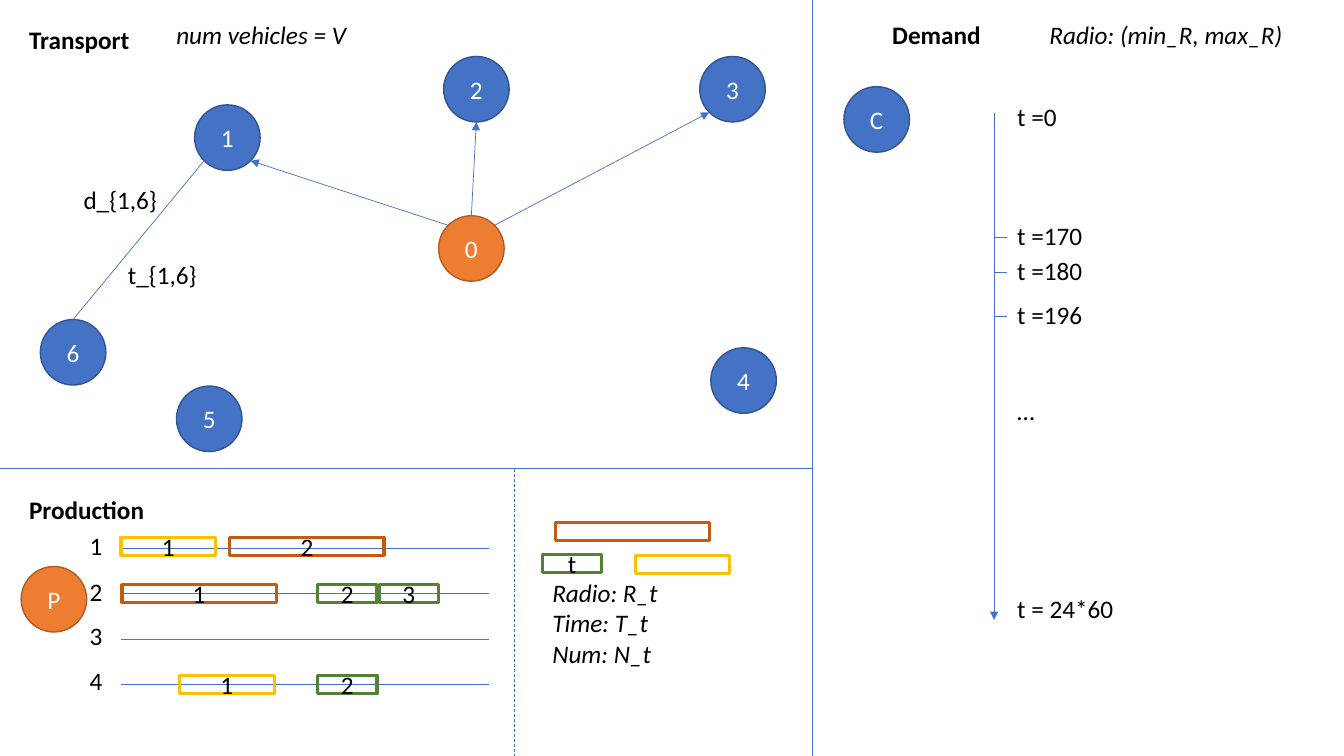
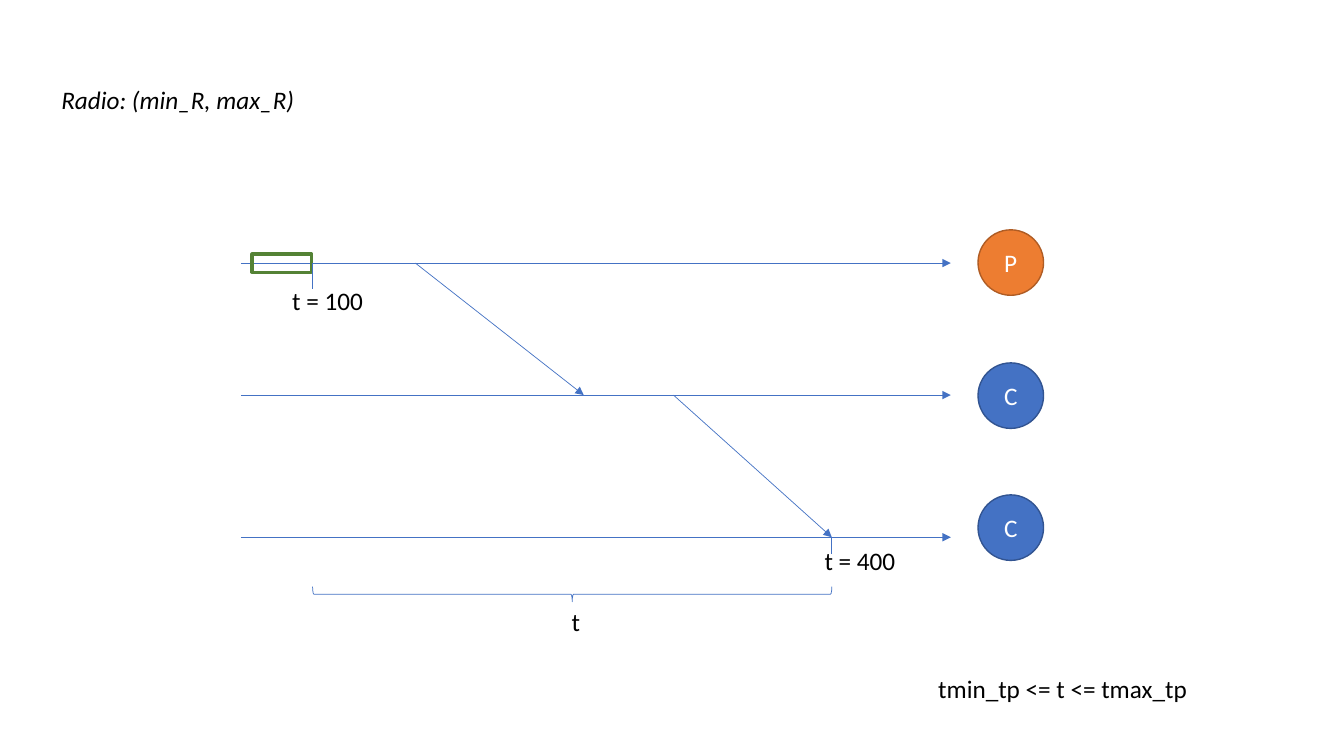
from math import hypot

from lxml import etree
from pptx import Presentation
from pptx.dml.color import RGBColor
from pptx.enum.dml import MSO_LINE_DASH_STYLE
from pptx.enum.shapes import MSO_CONNECTOR, MSO_SHAPE
from pptx.enum.text import MSO_ANCHOR, MSO_AUTO_SIZE, PP_ALIGN
from pptx.oxml.ns import qn
from pptx.util import Inches, Pt

STRAIGHT = MSO_CONNECTOR.STRAIGHT
OVAL, RECTANGLE, BRACE = MSO_SHAPE.OVAL, MSO_SHAPE.RECTANGLE, MSO_SHAPE.RIGHT_BRACE
LEFT, CENTER = PP_ALIGN.LEFT, PP_ALIGN.CENTER
MIDDLE = MSO_ANCHOR.MIDDLE
FIT_TEXT = MSO_AUTO_SIZE.SHAPE_TO_FIT_TEXT
DASH = MSO_LINE_DASH_STYLE.DASH


class Theme:
    font = "Calibri"
    size = 18
    black, white = "000000", "FFFFFF"
    blue, blue_edge = "4472C4", "325491"
    orange, orange_edge = "ED7D31", "AF5C24"
    yellow, rust, green = "FFC000", "C55A11", "548235"
    thin, edge, thick = 0.5, 1, 2.25
    node = 0.65
    label_height = 0.4
    task_height = 0.18
    # Width of a task, by its colour
    task_widths = {yellow: 0.94, rust: 1.53, green: 0.59}


class Painter:
    """Holds the theme and the current page, and draws each kind of element."""

    def __init__(self, deck, theme):
        self.deck, self.theme, self.page = deck, theme, None

    def new_page(self):
        self.page = self.deck.slides.add_slide(self.deck.slide_layouts[6])

    def fill_text(self, frame, text, color, align=LEFT, **formats):
        values = {"name": self.theme.font, "size": Pt(self.theme.size), **formats}
        for index, line in enumerate(text.split("\n")):
            para = frame.add_paragraph() if index else frame.paragraphs[0]
            para.alignment = align
            span = para.add_run()
            span.text = line
            for name, value in values.items():
                setattr(span.font, name, value)
            span.font.color.rgb = RGBColor.from_string(color)

    def outline(self, line, color, width):
        line.color.rgb = RGBColor.from_string(color)
        line.width = Pt(width)

    def shape(self, kind, left, top, width, height, edge, weight, fill=None):
        box = self.page.shapes.add_shape(
            kind, Inches(left), Inches(top), Inches(width), Inches(height))
        box.shadow.inherit = False
        if fill:
            box.fill.solid()
            box.fill.fore_color.rgb = RGBColor.from_string(fill)
        else:
            box.fill.background()
        self.outline(box.line, edge, weight)
        box.text_frame.vertical_anchor = MIDDLE
        return box

    def node(self, text, left, top, plant=False):
        theme = self.theme
        fill, edge = ((theme.orange, theme.orange_edge) if plant
                      else (theme.blue, theme.blue_edge))
        box = self.shape(OVAL, left, top, theme.node, theme.node, edge, theme.edge, fill)
        self.fill_text(box.text_frame, text, theme.white, CENTER)

    def task(self, left, top, color, text=""):
        theme = self.theme
        box = self.shape(RECTANGLE, left, top, theme.task_widths[color],
                         theme.task_height, color, theme.thick)
        if text:
            self.fill_text(box.text_frame, text, theme.black, CENTER)

    def brace_below(self, left, top, width, height):
        """A brace that opens upwards: a right brace turned by a quarter."""
        shift = (width - height) / 2
        box = self.shape(BRACE, left + shift, top - shift, height, width,
                         self.theme.blue, self.theme.thin)
        box.rotation = 90

    def label(self, text, left, top, width, wrap=True, align=LEFT, **formats):
        box = self.page.shapes.add_textbox(
            Inches(left), Inches(top), Inches(width),
            Inches(self.theme.label_height))
        box.text_frame.word_wrap = wrap
        box.text_frame.auto_size = FIT_TEXT
        self.fill_text(box.text_frame, text, self.theme.black, align, **formats)

    def line(self, start, end, arrow=False, dash=None):
        link = self.page.shapes.add_connector(
            STRAIGHT, *(Inches(value) for value in (*start, *end)))
        self.outline(link.line, self.theme.blue, self.theme.thin)
        if dash:
            link.line.dash_style = dash
        properties = link._element.spPr
        if arrow:
            etree.SubElement(properties.find(qn("a:ln")), qn("a:tailEnd"), type="triangle")
        etree.SubElement(properties, qn("a:effectLst"))


def rim(place, across, down):
    """The point on a node's edge in the given direction."""
    radius = Theme.node / 2
    length = hypot(across, down)
    return (place[0] + radius * (1 + across / length),
            place[1] + radius * (1 + down / length))


deck = Presentation()
deck.slide_width, deck.slide_height = Inches(13.33), Inches(7.5)
theme = Theme()
painter = Painter(deck, theme)
radio_range = "Radio: (min_R, max_R)"

# Slide 1: the three parts of the problem
painter.new_page()

# Panel borders
painter.line((8.06, 0), (8.06, 7.5))
painter.line((0, 4.65), (8.06, 4.65))
painter.line((5.1, 4.65), (5.1, 7.5), dash=DASH)

# Panel headings
for heading, left, top, width in [
        ("Transport", 0.19, 0.19, 1.2), ("Production", 0.19, 4.85, 1.35),
        ("Demand", 8.75, 0.14, 1.09)]:
    painter.label(heading, left, top, width, wrap=False, bold=True)
painter.label("num vehicles = V", 1.65, 0.14, 1.91, wrap=False, italic=True)
painter.label(radio_range, 10.31, 0.14, 2.79, italic=True)

# Transport: depot 0, its customers and the routes
stops = {"0": (4.35, 2.14), "1": (1.93, 1.04), "2": (4.4, 0.56), "3": (6.94, 0.56),
         "4": (7.05, 3.45), "5": (1.75, 3.83), "6": (0.4, 3.17)}
for name, place in stops.items():
    painter.node(name, *place, plant=name == "0")
for customer, leave, arrive in [
        ("1", (-1, -1), (1, 1)), ("2", (0, -1), (0, 1)), ("3", (1, -1), (-1, 1))]:
    painter.line(rim(stops["0"], *leave), rim(stops[customer], *arrive), arrow=True)
painter.line(rim(stops["6"], 0, -1), rim(stops["1"], -1, 1))
painter.label("d_{1,6}", 0.73, 1.78, 1.52)
painter.label("t_{1,6}", 1.17, 2.52, 1.52)

# Demand: customer and its time axis
axis, tick_end = 9.86, 9.99
painter.node("C", 8.37, 0.86)
painter.line((axis, 1.12), (axis, 6.15), arrow=True)
for tick in (2.35, 2.7, 3.14):
    painter.line((axis, tick), (tick_end, tick))
for moment, top in [("t =0", 0.96), ("t =170", 2.14), ("t =180", 2.48),
                    ("t =196", 2.92), ("…", 3.87), ("t = 24*60", 5.84)]:
    painter.label(moment, tick_end, top, 1.29)

# Production: four machines with their tasks
painter.node("P", 0.21, 5.62, plant=True)
machines = [
    (5.21, 5.33, [(1.2, theme.yellow), (2.28, theme.rust)]),
    (5.67, 5.8, [(1.21, theme.rust), (3.15, theme.green), (3.76, theme.green)]),
    (6.11, None, []),
    (6.55, 6.7, [(1.78, theme.yellow), (3.15, theme.green)]),
]
for row, (label_top, task_top, tasks) in enumerate(machines):
    level = 5.44 + row * 0.45
    painter.line((1.2, level), (4.85, level))
    painter.label(str(row + 1), 0.79, label_top, 0.33)
    for number, (left, color) in enumerate(tasks, 1):
        painter.task(left, task_top, color, str(number))

# Task types and their attributes
painter.task(5.51, 5.18, theme.rust)
painter.task(5.38, 5.5, theme.green, "t")
painter.task(6.3, 5.51, theme.yellow)
painter.label("Radio: R_t\nTime: T_t\nNum: N_t", 5.38, 5.68, 1.83, italic=True)

# Slide 2: time from production to delivery
painter.new_page()
painter.label(radio_range, 0.51, 0.79, 2.79, italic=True)

# Timelines of the plant and two customers
plant, first, second = 2.61, 3.92, 5.33
done, delivered = 3.1, 8.25
for name, level, top in [("P", plant, 2.28), ("C", first, 3.6), ("C", second, 4.91)]:
    painter.line((2.39, level), (9.43, level), arrow=True)
    painter.node(name, 9.7, top, plant=name == "P")

# Task and the two trips
painter.task(2.5, 2.52, theme.green)
painter.line((4.12, plant), (5.79, first), arrow=True)
painter.line((6.68, first), (delivered, second), arrow=True)

# Start, end and span of the time t
painter.line((done, plant), (done, 2.87))
painter.label("t = 100", 2.8, 2.78, 1)
painter.line((delivered, second), (delivered, 5.5))
painter.label("t = 400", 8.08, 5.36, 1.1)
painter.brace_below(done, 5.82, delivered - done, 0.15)
painter.label("t", 5.57, 5.97, 0.29, wrap=False)
painter.label("tmin_tp <= t <= tmax_tp", 8.89, 6.63, 3.3, align=CENTER)

deck.save("out.pptx")
